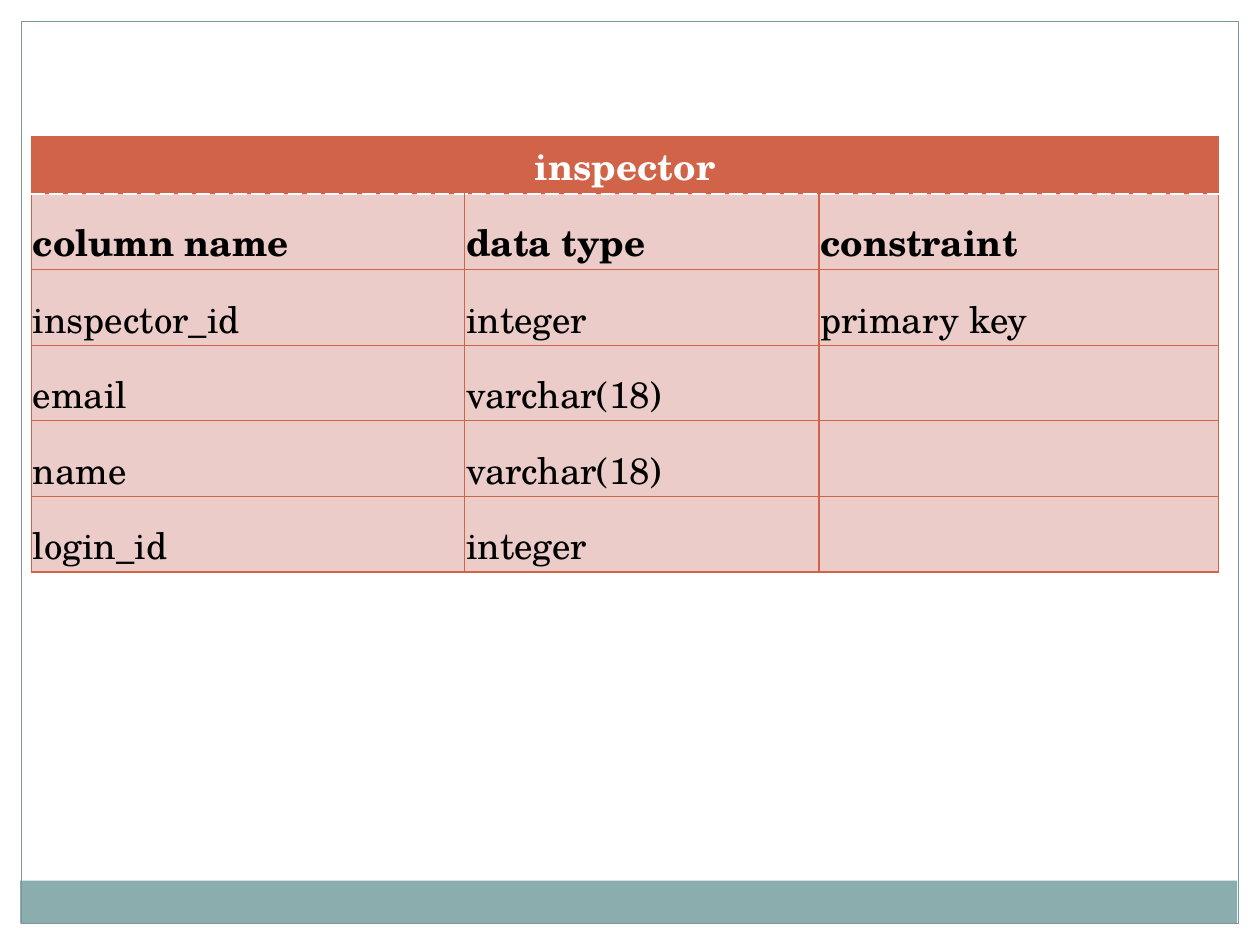
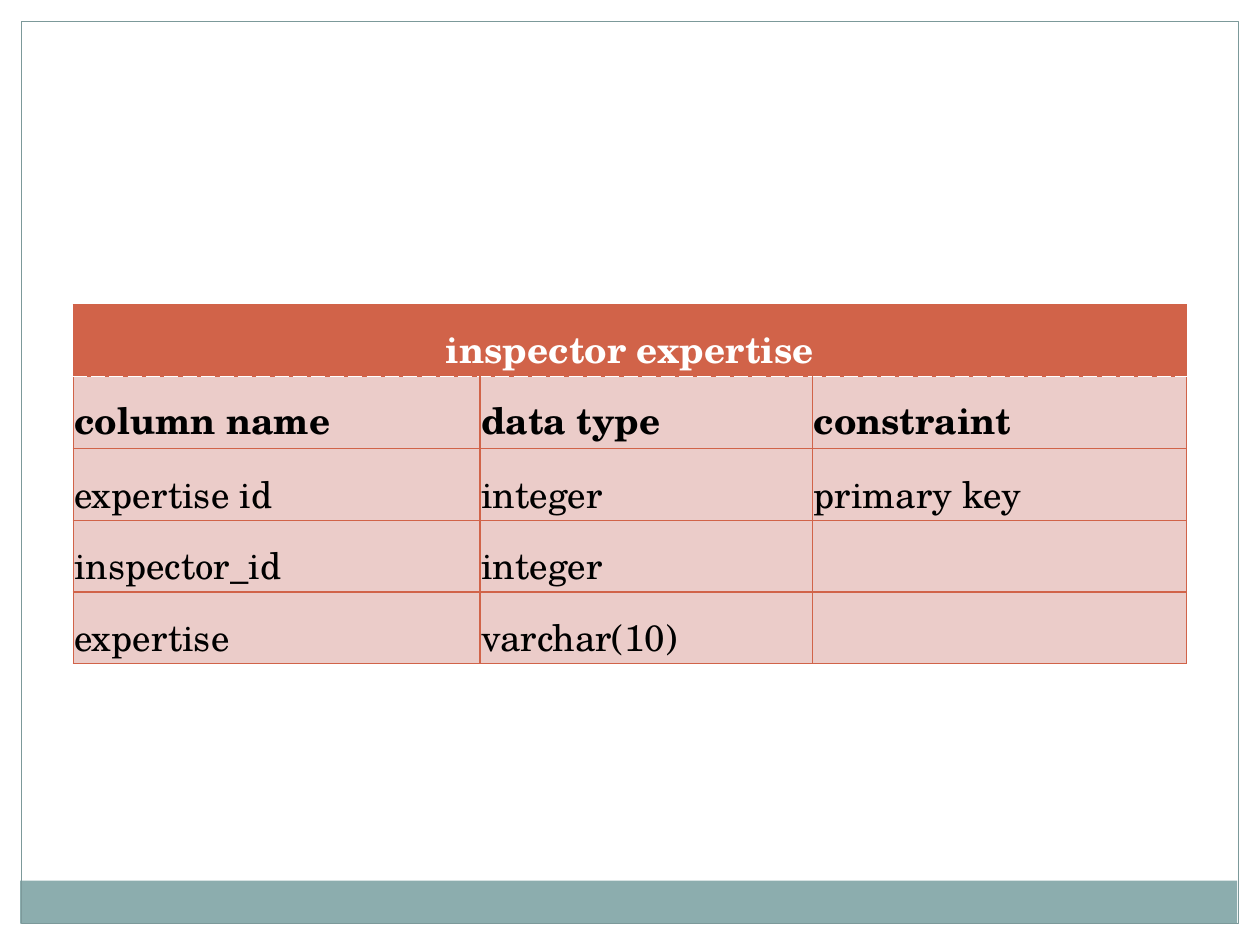
from lxml.etree import SubElement as Sub
from pptx import Presentation
from pptx.dml.color import RGBColor
from pptx.enum.shapes import MSO_SHAPE as Shape
from pptx.enum.text import MSO_ANCHOR as Anchor, PP_ALIGN as Align
from pptx.oxml.ns import qn
from pptx.util import Inches, Pt

FONT = "TeX Gyre Schola"
SIZE = 21
WHITE, BLACK = "FFFFFF", "000000"
RUST, PINK = "D16349", "EBCCC9"
BAND, FRAME = "8CADAE", "7C999A"
WIDE, HIGH, EDGE = 10, 7.5, 0.17
HEADS = ["column name", "data type", "constraint"]
SOLID = (RUST, 0.75, "solid")
DASH = (WHITE, 0.9, "sysDash")


def color(code):
    return RGBColor.from_string(code)


class Deck:
    def __init__(self):
        self.prs = Presentation()
        self.prs.slide_width = Inches(WIDE)
        self.prs.slide_height = Inches(HIGH)
        self.slide = None

    def page(self):
        """Start a slide with the shared margins, band and frame."""
        self.slide = self.prs.slides.add_slide(self.prs.slide_layouts[6])
        self.rect(0, 0, WIDE, EDGE, fill=WHITE)
        self.rect(WIDE - EDGE, 0, EDGE, HIGH, fill=WHITE)
        self.rect(0, 0, EDGE, HIGH, fill=WHITE)
        self.rect(0.16, 6.99, 9.66, 0.34, fill=BAND)
        self.rect(EDGE, EDGE, WIDE - 2 * EDGE, HIGH - 2 * EDGE, line=FRAME)

    def rect(self, x, y, w, h, fill=None, line=None):
        box = self.slide.shapes.add_shape(
            Shape.RECTANGLE, Inches(x), Inches(y), Inches(w), Inches(h))
        box.shadow.inherit = False
        if fill:
            box.fill.solid()
            box.fill.fore_color.rgb = color(fill)
        else:
            box.fill.background()
        if line:
            box.line.color.rgb = color(line)
            box.line.width = Pt(0.75)
        else:
            box.line.fill.background()

    def border(self, cell, side, style):
        code, width, dash = style
        line = Sub(cell._tc.get_or_add_tcPr(), qn(f"a:ln{side}"),
                   w=str(Pt(width)))
        Sub(Sub(line, qn("a:solidFill")), qn("a:srgbClr"), val=code)
        Sub(line, qn("a:prstDash"), val=dash)

    def cell(self, cell, text, row):
        top = row == 0
        cell.margin_left = cell.margin_right = cell.margin_top = Inches(0.01)
        cell.margin_bottom = 0
        cell.vertical_anchor = Anchor.BOTTOM
        for side in "LRTB":
            rule = (row, side) in ((0, "B"), (1, "T"))
            self.border(cell, side, DASH if rule else SOLID)
        cell.fill.solid()
        cell.fill.fore_color.rgb = color(RUST if top else PINK)
        if not text:
            return
        para = cell.text_frame.paragraphs[0]
        para.alignment = Align.CENTER if top else Align.LEFT
        run = para.add_run()
        run.text = text
        run.font.name = FONT
        run.font.size = Pt(SIZE)
        run.font.bold = row < 2
        run.font.color.rgb = color(WHITE if top else BLACK)

    def table(self, name, fields, x, y, cols, head, step):
        """Draw a schema table: a merged name row, headings, then fields."""
        rows = [[name, "", ""], HEADS, *fields]
        highs = [head] + [step] * (len(rows) - 1)
        grid = self.slide.shapes.add_table(
            len(rows), len(cols), Inches(x), Inches(y),
            Inches(sum(cols)), Inches(sum(highs))).table
        for col, width in zip(grid.columns, cols):
            col.width = Inches(width)
        for r, (texts, high) in enumerate(zip(rows, highs)):
            grid.rows[r].height = Inches(high)
            for c, text in enumerate(texts):
                self.cell(grid.cell(r, c), text, r)
        grid.cell(0, 0).merge(grid.cell(0, len(cols) - 1))


def main():
    deck = Deck()

    deck.page()
    deck.table("inspector", [
        ["inspector_id", "integer", "primary key"],
        ["email", "varchar(18)", ""],
        ["name", "varchar(18)", ""],
        ["login_id", "integer", ""],
    ], 0.25, 1.08, [3.44, 2.81, 3.17], 0.43, 0.6)

    deck.page()
    deck.table("inspector expertise", [
        ["expertise id", "integer", "primary key"],
        ["inspector_id", "integer", ""],
        ["expertise", "varchar(10)", ""],
    ], 0.58, 2.42, [3.23, 2.64, 2.97], 0.57, 0.57)

    deck.prs.save("out.pptx")


if __name__ == "__main__":
    main()
